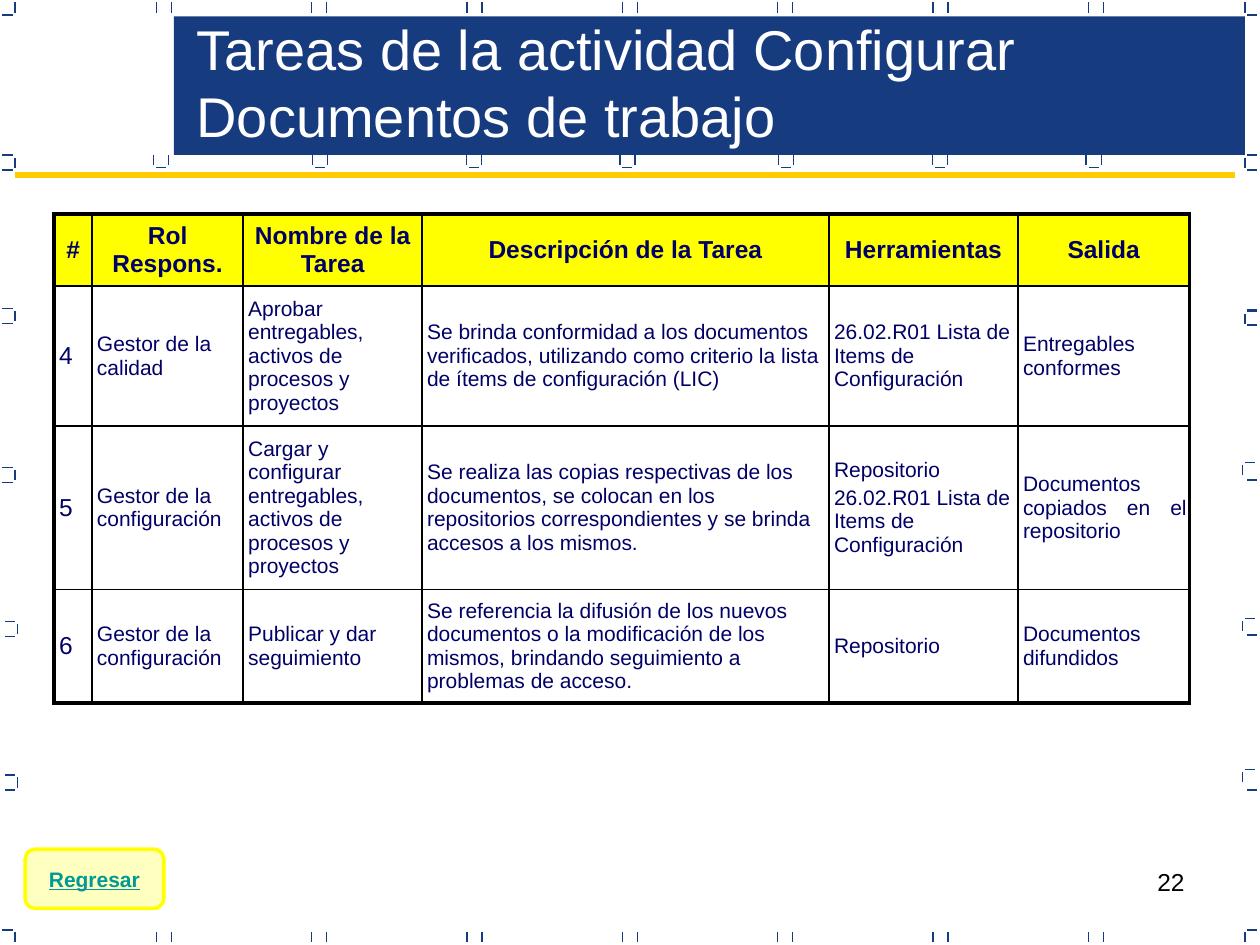
from typing import Any, NamedTuple

import pptx
import pptx.dml.color
import pptx.enum.shapes
import pptx.enum.text
import pptx.oxml
import pptx.oxml.ns
import pptx.util
from pptx.util import Inches

NAVY, YELLOW, GOLD, INK = "163B7F", "FFFF00", "FFCC00", "000066"
BLACK, WHITE, TEAL = "000000", "FFFFFF", "009999"
TICK = 0.08
GAP = 0.02
ALIGN = pptx.enum.text.PP_ALIGN
ANCHOR = pptx.enum.text.MSO_ANCHOR
SHAPE = pptx.enum.shapes.MSO_SHAPE


class Stroke(NamedTuple):
    left: float
    top: float
    right: float
    bottom: float
    color: str = NAVY
    weight: float = 0.75


class Task(NamedTuple):
    number: str
    role: str
    name: str
    description: str
    tools: str
    output: str


HEADER = Task("#", "Rol Respons.", "Nombre de la Tarea", "Descripción de la Tarea",
              "Herramientas", "Salida")
TASKS = [
    Task("4", "Gestor de la calidad",
         "Aprobar entregables, activos de procesos y proyectos",
         "Se brinda conformidad a los documentos verificados, utilizando como criterio "
         "la lista de ítems de configuración (LIC)",
         "26.02.R01 Lista de Items de Configuración", "Entregables conformes"),
    Task("5", "Gestor de la configuración",
         "Cargar y configurar entregables, activos de procesos y proyectos",
         "Se realiza las copias respectivas de los documentos, se colocan en los "
         "repositorios correspondientes y se brinda accesos a los mismos.",
         "Repositorio\n26.02.R01 Lista de Items de Configuración",
         "Documentos copiados en el repositorio"),
    Task("6", "Gestor de la configuración", "Publicar y dar seguimiento",
         "Se referencia la difusión de los nuevos documentos o la modificación de los "
         "mismos, brindando seguimiento a problemas de acceso.",
         "Repositorio", "Documentos difundidos"),
]
COLUMNS = [0.3, 1.2, 1.42, 3.23, 1.5, 1.36]
ROWS = [0.57, 1.11, 1.3, 0.9]


def rgb(color: str) -> pptx.dml.color.RGBColor:
    return pptx.dml.color.RGBColor.from_string(color)


def apply(target: Any, values: dict[str, Any]) -> None:
    for name, value in values.items():
        setattr(target, name, value)


def write(frame: Any, text: str, size: float, color: str, align: Any = ALIGN.LEFT,
          before: float = 0, **font: Any) -> None:
    frame.text = text
    for para in frame.paragraphs:
        apply(para, {"alignment": align, "space_before": pptx.util.Pt(before)})
        for span in para.runs:
            apply(span.font, {"name": "Arial", "size": pptx.util.Pt(size), **font})
            span.font.color.rgb = rgb(color)


def draw_stroke(page: Any, stroke: Stroke) -> None:
    line = page.shapes.add_connector(
        pptx.enum.shapes.MSO_CONNECTOR.STRAIGHT, Inches(stroke.left), Inches(stroke.top),
        Inches(stroke.right), Inches(stroke.bottom))
    line.line.color.rgb = rgb(stroke.color)
    line.line.width = pptx.util.Pt(stroke.weight)
    pptx.oxml.ns.qn("a:effectLst")
    line.element.spPr.append(pptx.oxml.parse_xml(
        f'<a:effectLst {pptx.oxml.ns.nsdecls("a")}/>'))


def upright(x: float, y: float) -> Stroke:
    return Stroke(x, y, x, y + TICK)


def level(x: float, y: float) -> Stroke:
    return Stroke(x, y, x + TICK, y)


def frame_ticks() -> list[Stroke]:
    ticks = []
    pairs = [1.36 + 1.233 * step for step in range(7)]
    for y in (0.02, 7.4):
        ticks += [upright(x - offset, y) for x in pairs for offset in (0, 0.12)]
        ticks += [upright(x, y) for x in (0.12, 9.88)]
    ticks += [level(GAP, y) for y in (0.12, 7.38)]
    for x, y in [(0.12, 1.25), (0.12, 2.47), (0.12, 3.73), (0.14, 4.95), (0.14, 6.17)]:
        ticks += [upright(x, y), level(x - 0.1, y - GAP), level(x - 0.1, y + 0.1)]
    for x, y in [(9.88, 1.25), (9.88, 2.49), (9.86, 3.69), (9.86, 4.93), (9.86, 6.13)]:
        ticks += [upright(x, y), level(x + GAP, y - GAP)]
    ticks += [level(9.9, y) for y in (0.12, 1.35, 2.46, 2.58, 3.81, 5.04, 6.27, 7.38)]
    for x in (1.22, 2.48, 3.7, 4.92, 6.18, 7.4, 8.62):
        ticks += [upright(x, 1.23), upright(x + 0.12, 1.23), level(x + GAP, 1.33)]
    return ticks


def draw_block(page: Any, kind: Any, place: tuple[float, ...], fill: str) -> Any:
    block = page.shapes.add_shape(kind, *map(Inches, place))
    block.shadow.inherit = False
    block.fill.solid()
    block.fill.fore_color.rgb = rgb(fill)
    block.line.fill.background()
    return block


def border_cell(cell: Any, weights: dict[str, float]) -> None:
    properties = cell._tc.get_or_add_tcPr()
    for index, (side, weight) in enumerate(weights.items()):
        properties.insert(index, pptx.oxml.parse_xml(
            f'<a:ln{side} {pptx.oxml.ns.nsdecls("a")} w="{int(weight * 12700)}">'
            f'<a:solidFill><a:srgbClr val="{BLACK}"/></a:solidFill></a:ln{side}>'))


def draw_table(page: Any) -> None:
    table = page.shapes.add_table(len(ROWS), len(COLUMNS), Inches(0.43), Inches(1.7),
                                  Inches(sum(COLUMNS)), Inches(sum(ROWS))).table
    apply(table, {"first_row": False, "horz_banding": False})
    for column, width in zip(table.columns, COLUMNS):
        column.width = Inches(width)
    for row, height in zip(table.rows, ROWS):
        row.height = Inches(height)
    last_row, last_column = len(ROWS) - 1, len(COLUMNS) - 1
    for r, task in enumerate([HEADER, *TASKS]):
        for c, text in enumerate(task):
            cell = table.cell(r, c)
            header = r == 0
            apply(cell, {"vertical_anchor": ANCHOR.MIDDLE,
                         "margin_left": Inches(0 if header else 0.04),
                         "margin_right": Inches(0 if header else 0.02)})
            if header:
                cell.fill.solid()
                cell.fill.fore_color.rgb = rgb(YELLOW)
            else:
                cell.fill.background()
            size = 14 if header or c == 0 else 12
            align = (ALIGN.CENTER if header else
                     ALIGN.JUSTIFY if c == last_column else ALIGN.LEFT)
            write(cell.text_frame, text, size, INK, align, size * 0.2, bold=header)
            outer = {"L": c == 0, "R": c == last_column, "T": r == 0, "B": r == last_row}
            border_cell(cell, {side: 2.25 if edge else 1 for side, edge in outer.items()})


def draw_title(page: Any, band: Any) -> None:
    title = page.shapes.title
    band.element.addnext(title.element)
    apply(title, {"left": Inches(1.46), "top": Inches(0.06),
                  "width": Inches(8.35), "height": Inches(1.17)})
    apply(title.text_frame, {"word_wrap": True, "vertical_anchor": ANCHOR.BOTTOM,
                             "auto_size": pptx.enum.text.MSO_AUTO_SIZE.NONE})
    write(title.text_frame, "Tareas de la actividad Configurar Documentos de trabajo",
          32, WHITE)


def draw_return_button(page: Any) -> None:
    button = draw_block(page, SHAPE.FLOWCHART_ALTERNATE_PROCESS, (0.2, 6.74, 1.1, 0.47), YELLOW)
    color = button.element.spPr.find(".//" + pptx.oxml.ns.qn("a:srgbClr"))
    color.append(pptx.oxml.parse_xml(
        f'<a:alpha {pptx.oxml.ns.nsdecls("a")} val="25000"/>'))
    button.line.color.rgb = rgb(YELLOW)
    button.line.width = pptx.util.Pt(2)
    apply(button.text_frame, {"word_wrap": False, "vertical_anchor": ANCHOR.MIDDLE})
    write(button.text_frame, "Regresar", 12, TEAL, ALIGN.CENTER, bold=True, underline=True)


def main() -> None:
    deck = pptx.Presentation()
    apply(deck, {"slide_width": Inches(10), "slide_height": Inches(7.5)})
    page = deck.slides.add_slide(deck.slide_layouts[5])
    number = page.shapes.add_textbox(*map(Inches, (7.17, 6.83, 2.33, 0.52)))
    number.text_frame.word_wrap = True
    write(number.text_frame, "22", 14, BLACK, ALIGN.RIGHT)
    for tick in frame_ticks():
        draw_stroke(page, tick)
    draw_title(page, draw_block(page, SHAPE.RECTANGLE, (1.38, 0.13, 8.5, 1.1), NAVY))
    draw_stroke(page, Stroke(0.12, 1.39, 9.8, 1.39, GOLD, 3))
    draw_table(page)
    draw_return_button(page)
    deck.save("out.pptx")


if __name__ == "__main__":
    main()
